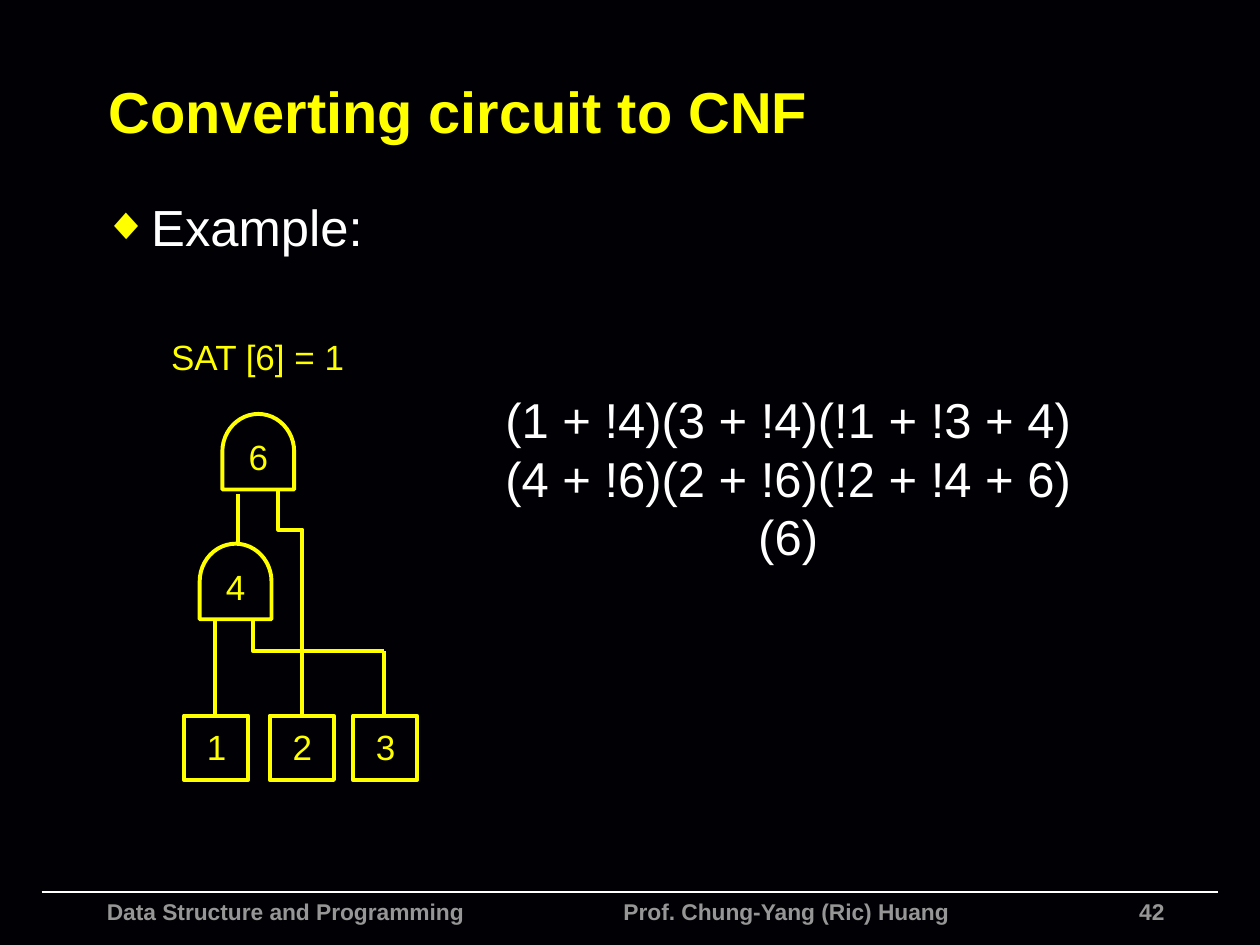
import pptx
import pptx.util
import pptx.dml.color
import pptx.enum.shapes
import pptx.enum.text
import pptx.oxml.ns
import lxml.etree
import dataclasses

Inches = pptx.util.Inches
Align = pptx.enum.text.PP_ALIGN
Anchor = pptx.enum.text.MSO_ANCHOR
Shape = pptx.enum.shapes.MSO_SHAPE
Link = pptx.enum.shapes.MSO_CONNECTOR
qn = pptx.oxml.ns.qn


@dataclasses.dataclass(frozen=True)
class Theme:
    font: str = "Arial"
    back: str = "010004"
    main: str = "FFFF00"
    text: str = "FFFFFF"
    foot: str = "969696"
    title: int = 33
    body: int = 29
    math: int = 28
    label: int = 20
    small: int = 13
    wire: float = 2.25
    rule: float = 1


THEME = Theme()


def color(code):
    return pptx.dml.color.RGBColor.from_string(code)


def place(shape, left, top, width, height):
    shape.left, shape.top = Inches(left), Inches(top)
    shape.width, shape.height = Inches(width), Inches(height)


def write(frame, text, size=THEME.label, ink=THEME.main, bold=False,
          align=Align.LEFT, anchor=Anchor.TOP, wrap=True):
    frame.auto_size = pptx.enum.text.MSO_AUTO_SIZE.NONE
    frame.word_wrap = wrap
    frame.vertical_anchor = anchor
    frame.text = text
    for para in frame.paragraphs:
        para.alignment = align
        para.space_before = pptx.util.Pt(0)
        for run in para.runs:
            run.font.name = THEME.font
            run.font.size = pptx.util.Pt(size)
            run.font.bold = bold
            run.font.color.rgb = color(ink)


def add_text(slide, box, text, **form):
    frame = slide.shapes.add_textbox(*map(Inches, box)).text_frame
    write(frame, text, **form)


def add_bullet(para):
    props = para._p.get_or_add_pPr()
    props.set("marL", str(Inches(0.38)))
    props.set("indent", str(-Inches(0.38)))
    tint = lxml.etree.SubElement(props, qn("a:buClr"))
    lxml.etree.SubElement(tint, qn("a:srgbClr"), val=THEME.main)
    lxml.etree.SubElement(props, qn("a:buSzPct"), val="90000")
    lxml.etree.SubElement(props, qn("a:buChar"), char="◆")


def draw_line(shape, ink=THEME.main, width=THEME.wire):
    shape.line.color.rgb = color(ink)
    shape.line.width = pptx.util.Pt(width)


def add_line(slide, start, end, kind=Link.STRAIGHT, **form):
    line = slide.shapes.add_connector(kind, *map(Inches, start + end))
    draw_line(line, **form)
    lxml.etree.SubElement(line._element.spPr, qn("a:effectLst"))
    return line


def add_bend(slide, start, end, ratio):
    mid_x, mid_y = (start[0] + end[0]) / 2, (start[1] + end[1]) / 2
    half_w, half_h = (start[1] - end[1]) / 2, (start[0] - end[0]) / 2
    line = add_line(slide, (mid_x - half_w, mid_y + half_h),
                    (mid_x + half_w, mid_y - half_h), Link.ELBOW)
    props = line._element.spPr
    props.find(qn("a:xfrm")).set("rot", str(270 * 60000))
    geom = props.find(qn("a:prstGeom"))
    guides = geom.find(qn("a:avLst"))
    if guides is None:
        guides = lxml.etree.SubElement(geom, qn("a:avLst"))
    lxml.etree.SubElement(guides, qn("a:gd"), name="adj1",
                          fmla=f"val {round(ratio * 100000)}")


def add_route(slide, points):
    spots = [(Inches(x), Inches(y)) for x, y in points]
    maker = slide.shapes.build_freeform(*spots[0])
    maker.add_line_segments(spots[1:], close=False)
    route = maker.convert_to_shape()
    route.shadow.inherit = False
    route.fill.background()
    draw_line(route)


def add_node(slide, kind, box, label, shift, turn=0):
    node = slide.shapes.add_shape(kind, *map(Inches, box))
    node.shadow.inherit = False
    node.fill.background()
    node.rotation = turn
    draw_line(node)
    spot = (box[0] + shift[0], box[1] + shift[1], 0.36, 0.44)
    add_text(slide, spot, label, align=Align.CENTER, wrap=False)


def add_frame(slide):
    add_line(slide, (0.33, 7.08), (9.67, 7.08), ink=THEME.text, width=THEME.rule)
    feet = [
        (0.75, 3.6, "Data Structure and Programming", Align.LEFT),
        (4.85, 3.14, "Prof. Chung-Yang (Ric) Huang", Align.LEFT),
        (8.34, 1, "42", Align.RIGHT),
    ]
    for left, width, text, align in feet:
        add_text(slide, (left, 7.08, width, 0.36), text, size=THEME.small,
                 ink=THEME.foot, bold=True, align=align)


def add_heads(slide):
    title, body = slide.placeholders
    place(title, 0.76, 0.37, 8.84, 1.01)
    write(title.text_frame, "Converting circuit to CNF", size=THEME.title,
          bold=True, anchor=Anchor.MIDDLE)
    place(body, 0.72, 1.5, 8.5, 5.17)
    write(body.text_frame, "Example:", size=THEME.body, ink=THEME.text)
    para = body.text_frame.paragraphs[0]
    para.space_before = pptx.util.Pt(6)
    add_bullet(para)


def add_circuit(slide):
    for label, left in (("1", 1.46), ("2", 2.14), ("3", 2.8)):
        add_node(slide, Shape.RECTANGLE, (left, 5.68, 0.51, 0.51), label,
                 (0.08, 0.03))
    for label, left, top in (("4", 1.57, 4.33), ("6", 1.75, 3.3)):
        add_node(slide, Shape.FLOWCHART_DELAY, (left, top, 0.6, 0.57), label,
                 (0.12, 0.11), turn=270)
    add_line(slide, (1.71, 5.68), (1.71, 4.91))
    add_line(slide, (1.89, 4.3), (1.89, 3.92))
    add_line(slide, (3.05, 5.67), (3.05, 5.17))
    add_bend(slide, (2.4, 5.68), (2.21, 3.88), 0.82)
    add_route(slide, [(3.05, 5.17), (2.01, 5.17), (2.01, 4.91)])


def main():
    deck = pptx.Presentation()
    deck.slide_width, deck.slide_height = Inches(10), Inches(7.5)
    slide = deck.slides.add_slide(deck.slide_layouts[1])
    slide.background.fill.solid()
    slide.background.fill.fore_color.rgb = color(THEME.back)
    add_frame(slide)
    add_heads(slide)
    add_circuit(slide)
    clauses = ["(1 + !4)(3 + !4)(!1 + !3 + 4)",
               "(4 + !6)(2 + !6)(!2 + !4 + 6)", "(6)"]
    add_text(slide, (3.88, 3.04, 4.75, 1.51), "\n".join(clauses),
             size=THEME.math, ink=THEME.text, align=Align.CENTER, wrap=False)
    add_text(slide, (1.25, 2.61, 1.59, 0.44), "SAT [6] = 1",
             align=Align.CENTER, wrap=False)
    deck.save("out.pptx")


main()
